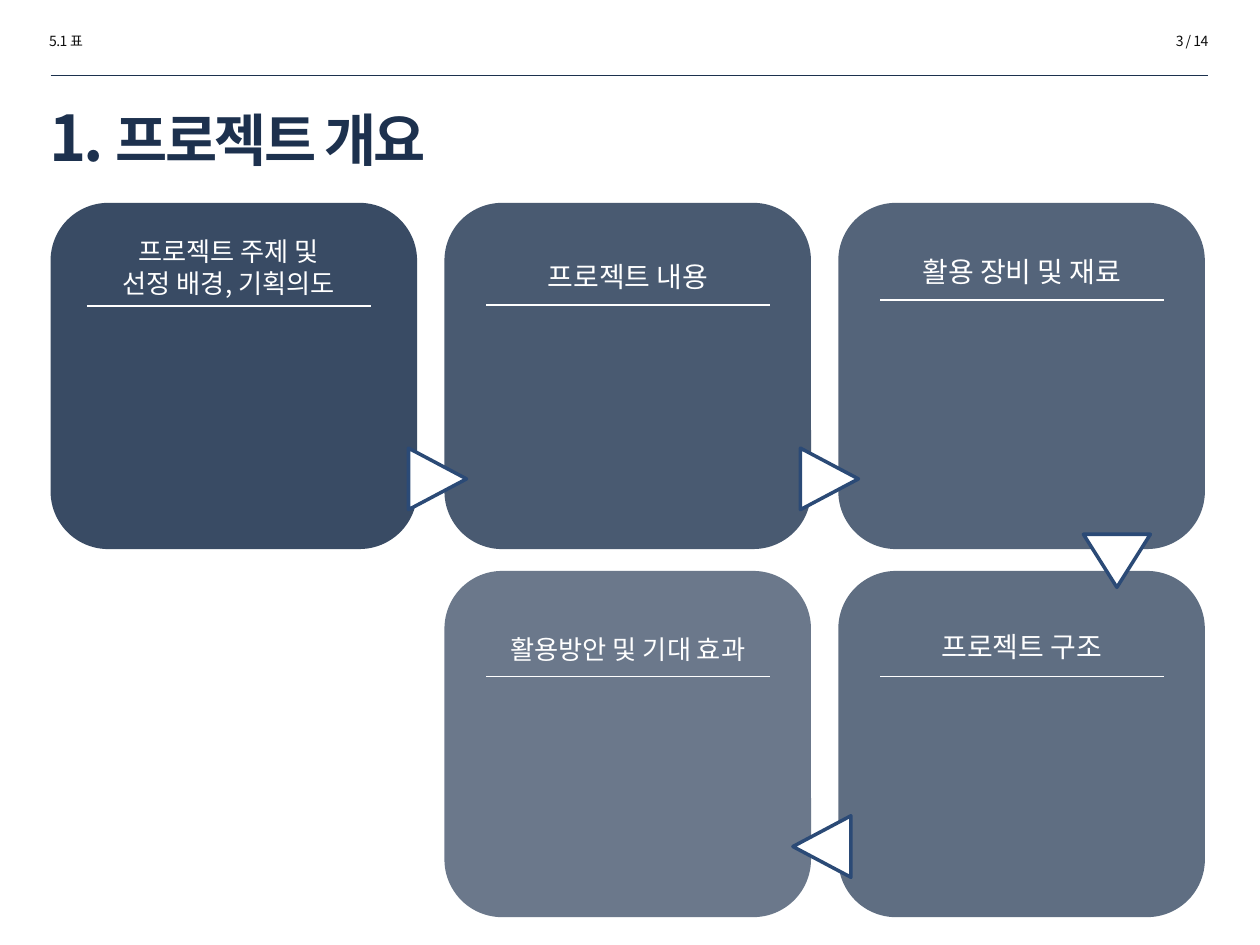
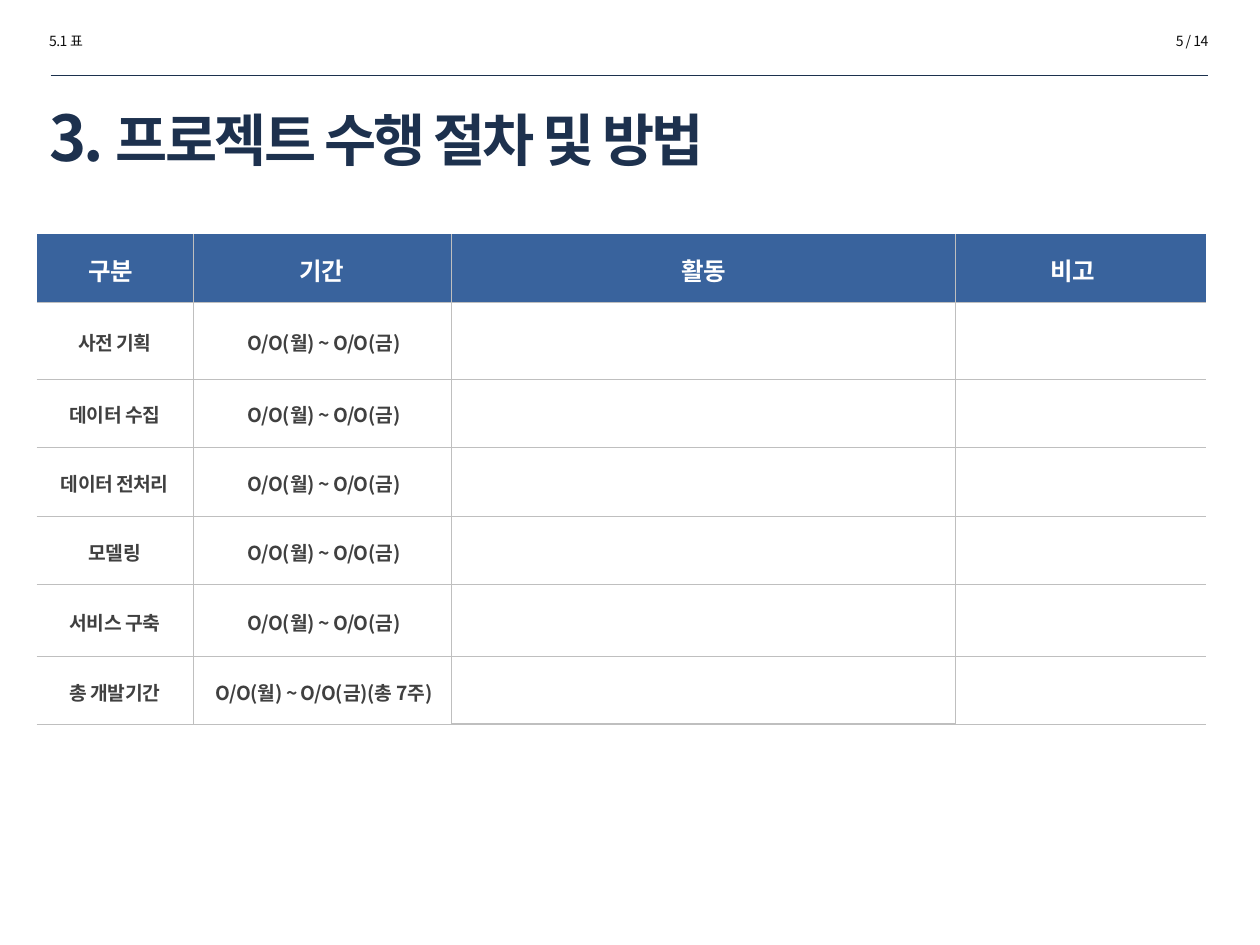
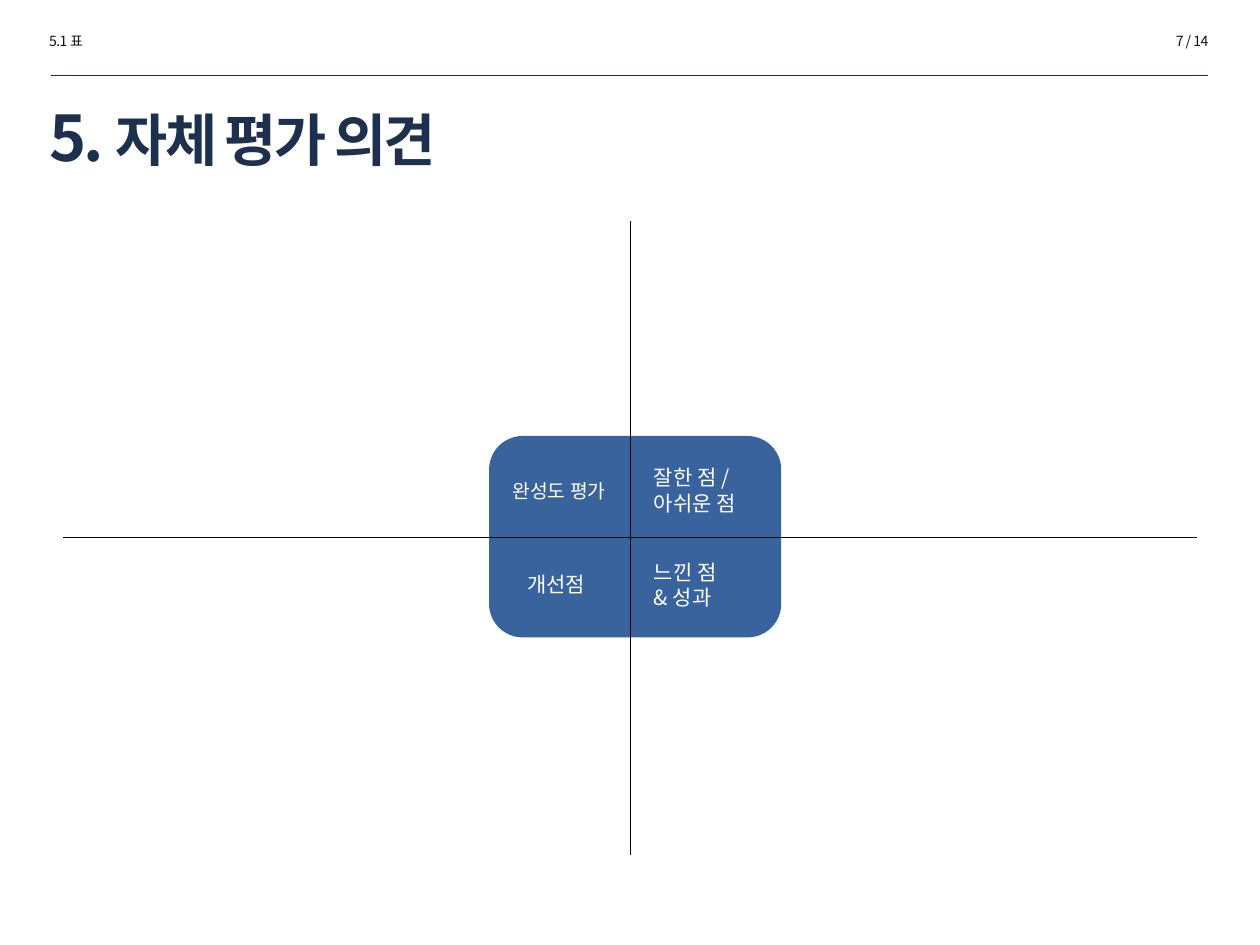
from lxml.etree import SubElement
from pptx import Presentation
from pptx.dml.color import RGBColor
from pptx.enum.shapes import MSO_CONNECTOR as Connector, MSO_SHAPE as Shape
from pptx.enum.text import MSO_ANCHOR as Anchor, MSO_AUTO_SIZE as AutoSize, PP_ALIGN as Align
from pptx.oxml.ns import qn
from pptx.util import Cm, Pt

FONT = "Noto Sans CJK KR"
NAVY = RGBColor(0x1C, 0x31, 0x4E)
TITLE_NAVY = RGBColor(0x1D, 0x31, 0x4E)
BLUE = RGBColor(0x39, 0x63, 0x9D)
ARROW_BLUE = RGBColor(0x2B, 0x4A, 0x76)
INK = RGBColor(0x0D, 0x0D, 0x0D)
DARK_GRAY = RGBColor(0x40, 0x40, 0x40)
LINE_GRAY = RGBColor(0xBF, 0xBF, 0xBF)
WHITE = RGBColor(0xFF, 0xFF, 0xFF)
BLACK = RGBColor(0, 0, 0)

SECTION = "5.1 표"
PAGE_COUNT = 14

CARD_LEFT, CARD_TOP = 1.02, 4.09
CARD_WIDTH, CARD_HEIGHT = 7.39, 6.98
CARD_STEP_X, CARD_STEP_Y = 7.94, 7.42
RULE_WIDTH = 5.72
LABEL_WIDTH = 6.1
# column, row, opacity, label lines, size, rule inset, label offset, rule offset
CARDS = [
    (0, 0, 87, ["프로젝트 주제 및", "선정 배경, 기획의도"], 15, 0.73, 0.53, 2.08),
    (1, 0, 80, ["프로젝트 내용"], 16, 0.84, 1.02, 2.06),
    (2, 0, 75, ["활용 장비 및 재료"], 16, 0.84, 0.91, 1.96),
    (2, 1, 70, ["프로젝트 구조"], 16, 0.84, 1.06, 2.13),
    (1, 1, 65, ["활용방안 및 기대 효과"], 15, 0.84, 1.14, 2.13),
]
ARROWS = [
    (8.2, 9.07, 1.24, 1.17, 90),
    (16.1, 9.07, 1.24, 1.17, 90),
    (21.84, 10.77, 1.35, 1.07, 180),
    (15.95, 16.48, 1.24, 1.17, 270),
]

SCHEDULE_HEADER = [("구분", 0.4), ("기간", 0.25), ("활동", 0.25), ("비고", 0.55)]
WEEKDAYS = "O/O(월) ~ O/O(금)"
SCHEDULE = [
    ("사전 기획", WEEKDAYS),
    ("데이터 수집", WEEKDAYS),
    ("데이터 전처리", WEEKDAYS),
    ("모델링", WEEKDAYS),
    ("서비스 구축", WEEKDAYS),
    ("총 개발기간", WEEKDAYS + "(총 7주)"),
]
SCHEDULE_WIDTHS = [3.15, 5.21, 10.16, 5.05]
SCHEDULE_HEIGHTS = [1.37, 1.55, 1.37, 1.4, 1.37, 1.45, 1.37]
THICK_EDGES = {(6, 2, "R"): 1, (6, 2, "B"): 1, (6, 3, "L"): 1}

OPINIONS = [
    (9.86, 9.53, 2.82, 0.74, ["완성도 평가"], 11, Align.CENTER),
    (12.93, 9.25, 2.57, 1.27, ["잘한 점 /", "아쉬운 점"], 12, Align.LEFT),
    (9.93, 11.4, 2.57, 0.76, ["개선점"], 12, Align.CENTER),
    (12.93, 11.15, 2.57, 1.27, ["느낀 점", "& 성과"], 12, Align.LEFT),
]


def write(paragraph, text, color, size, spacing=0, bold=False):
    run = paragraph.add_run()
    run.text = text
    for key, value in {"name": FONT, "size": Pt(size), "bold": bold}.items():
        setattr(run.font, key, value)
    run.font.color.rgb = color
    properties = run.font._element
    SubElement(properties, qn("a:ea"), typeface=FONT)
    if spacing:
        properties.set("spc", str(round(spacing * 100)))


def add_label(slide, frame, lines, color, size, align=Align.LEFT, spacing=0):
    label = slide.shapes.add_textbox(*map(Cm, frame)).text_frame
    for key, value in {"word_wrap": True, "auto_size": AutoSize.SHAPE_TO_FIT_TEXT}.items():
        setattr(label, key, value)
    for index, line in enumerate(lines):
        paragraph = label.add_paragraph() if index else label.paragraphs[0]
        paragraph.alignment = align
        write(paragraph, line, color, size, spacing)


def add_rule(slide, left, right, top, color, width):
    rule = slide.shapes.add_connector(Connector.STRAIGHT, Cm(left), Cm(top), Cm(right), Cm(top))
    rule.line.color.rgb = color
    rule.line.width = Pt(width)
    SubElement(rule._element.spPr, qn("a:effectLst"))


def add_block(slide, kind, frame, color):
    block = slide.shapes.add_shape(kind, *map(Cm, frame))
    block.shadow.inherit = False
    block.fill.solid()
    block.fill.fore_color.rgb = color
    block.line.fill.background()
    return block


def add_grid(slide, left, top, widths, heights, color, closed=False, thick={}):
    frame = map(Cm, (left, top, sum(widths), sum(heights)))
    grid = slide.shapes.add_table(len(heights), len(widths), *frame).table
    grid.first_row = grid.horz_banding = False
    for column, width in zip(grid.columns, widths):
        column.width = Cm(width)
    for row, height in zip(grid.rows, heights):
        row.height = Cm(height)
    for r in range(len(heights)):
        for c in range(len(widths)):
            cell = grid.cell(r, c)
            visible = {
                "L": c > 0,
                "R": c < len(widths) - 1,
                "T": r > 0,
                "B": closed or r < len(heights) - 1,
            }
            for side, shown in visible.items():
                width = Pt(thick.get((r, c, side), 0.5))
                edge = SubElement(cell._tc.get_or_add_tcPr(), qn(f"a:ln{side}"), w=str(width))
                if shown:
                    SubElement(SubElement(edge, qn("a:solidFill")), qn("a:srgbClr"), val=str(color))
                else:
                    SubElement(edge, qn("a:noFill"))
            cell.fill.background()
    return grid


def fill_cell(cell, text, color, size, margins, space_before=0):
    left, top, right, bottom = map(Cm, margins)
    layout = {
        "margin_left": left, "margin_top": top, "margin_right": right,
        "margin_bottom": bottom, "vertical_anchor": Anchor.MIDDLE,
    }
    for key, value in layout.items():
        setattr(cell, key, value)
    paragraph = cell.text_frame.paragraphs[0]
    flow = {"alignment": Align.CENTER, "line_spacing": 1.1, "space_before": Pt(space_before)}
    for key, value in flow.items():
        setattr(paragraph, key, value)
    write(paragraph, text, color, size, -0.3, True)


def start_slide(deck, page, number, heading):
    slide = deck.slides.add_slide(deck.slide_layouts[6])
    add_label(slide, (0.74, 0.53, 4.39, 0.61), [SECTION], INK, 8, spacing=-0.3)
    add_label(slide, (20.22, 0.53, 4.39, 0.61), [f"{page} / {PAGE_COUNT}"], INK, 8, Align.RIGHT, -0.3)
    add_rule(slide, 1.02, 24.36, 1.52, NAVY, 0.25)
    title = slide.shapes.add_textbox(*map(Cm, (0.74, 1.83, 23.55, 1.85))).text_frame
    for key, value in {"word_wrap": True, "vertical_anchor": Anchor.MIDDLE}.items():
        setattr(title, key, value)
    for text, size in ((f"{number}. ", 36), (heading, 32.4)):
        write(title.paragraphs[0], text, TITLE_NAVY, size, -1.5, True)
    return slide


def build_overview(deck):
    slide = start_slide(deck, 3, 1, "프로젝트 개요")
    for column, row, opacity, lines, size, inset, label_offset, rule_offset in CARDS:
        left = CARD_LEFT + column * CARD_STEP_X
        top = CARD_TOP + row * CARD_STEP_Y
        card = add_block(slide, Shape.ROUNDED_RECTANGLE, (left, top, CARD_WIDTH, CARD_HEIGHT), NAVY)
        tint = card._element.spPr.find(qn("a:solidFill"))[0]
        SubElement(tint, qn("a:alpha"), val=str(opacity * 1000))
        rule_left = left + inset
        add_rule(slide, rule_left, rule_left + RULE_WIDTH, top + rule_offset, WHITE, 0.75)
        label_left = rule_left - (LABEL_WIDTH - RULE_WIDTH) / 2
        label_height = 0.33 + 0.61 * len(lines)
        add_label(slide, (label_left, top + label_offset, LABEL_WIDTH, label_height),
                  lines, WHITE, size, Align.CENTER)
    for *frame, turn in ARROWS:
        arrow = add_block(slide, Shape.ISOSCELES_TRIANGLE, frame, WHITE)
        arrow.rotation = turn
        arrow.line.color.rgb = ARROW_BLUE
        arrow.line.width = Pt(2)


def build_schedule(deck):
    slide = start_slide(deck, 5, 3, "프로젝트 수행 절차 및 방법")
    grid = add_grid(slide, 0.74, 4.72, SCHEDULE_WIDTHS, SCHEDULE_HEIGHTS, LINE_GRAY, True, THICK_EDGES)
    for column, (name, right_margin) in enumerate(SCHEDULE_HEADER):
        cell = grid.cell(0, column)
        cell.fill.solid()
        cell.fill.fore_color.rgb = BLUE
        fill_cell(cell, name, WHITE, 14, (0.25, 0.13, right_margin, 0.13))
    for row, (stage, period) in enumerate(SCHEDULE, 1):
        fill_cell(grid.cell(row, 0), stage, DARK_GRAY, 11, (0.18, 0.08, 0.18, 0.08), 6)
        fill_cell(grid.cell(row, 1), period, DARK_GRAY, 11, (0.08, 0, 0, 0))


def build_opinions(deck):
    slide = start_slide(deck, 7, 5, "자체 평가 의견")
    add_block(slide, Shape.ROUNDED_RECTANGLE, (9.86, 8.79, 5.89, 4.06), BLUE)
    add_grid(slide, 1.27, 4.45, [11.43] * 2, [6.39] * 2, BLACK)
    for *frame, lines, size, align in OPINIONS:
        add_label(slide, frame, lines, WHITE, size, align)


def main():
    deck = Presentation()
    deck.slide_width, deck.slide_height = Cm(25.4), Cm(19.05)
    for build in (build_overview, build_schedule, build_opinions):
        build(deck)
    deck.save("out.pptx")


if __name__ == "__main__":
    main()
